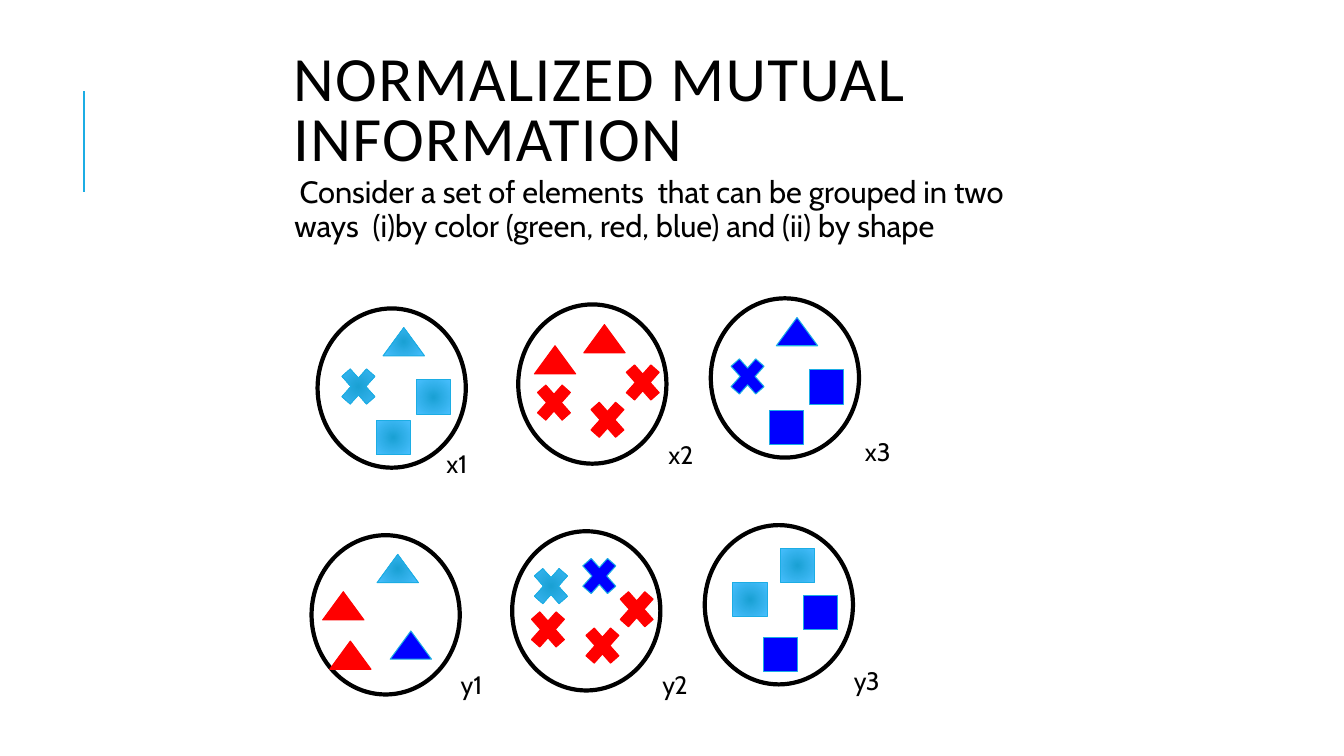
"""Build a slide showing one set of elements grouped by color and by shape."""
import lxml.etree
import pptx
import pptx.dml.color
import pptx.enum.shapes
import pptx.enum.text
import pptx.oxml.ns
import pptx.util

TITLE = "NORMALIZED MUTUAL INFORMATION"
BODY = ("Consider a set of elements  that can be grouped in two ways  "
        "(i)by color (green, red, blue) and (ii) by shape")
ORIGINS = [(3.15, 3.06), (5.14, 3.02), (7.05, 2.96)]
SHIFT = (-0.06, 2.25)
ROWS = [
    [("x1", (4.33, 4.4, 0.46, 0.71),
      [("triangle", "teal", 0.65, 0.19), ("square", "teal", 0.98, 0.71),
       ("square", "teal", 0.58, 1.11), ("cross", "teal", 0.17, 0.51)]),
     ("x2", (6.53, 4.31, 0.46, 0.71),
      [("triangle", "red", 0.65, 0.2), ("triangle", "red", 0.16, 0.41),
       ("cross", "red", 0.12, 0.71), ("cross", "red", 0.65, 0.88),
       ("cross", "red", 1.0, 0.51)]),
     ("x3", (8.48, 4.28, 0.46, 0.71),
      [("triangle", "blue", 0.65, 0.19), ("square", "blue", 0.98, 0.71),
       ("square", "blue", 0.58, 1.11), ("cross", "blue", 0.13, 0.51)])],
    [("y1", (4.47, 6.59, 0.66, 0.4),
      [("triangle", "teal", 0.65, 0.19), ("triangle", "red", 0.11, 0.56),
       ("triangle", "blue", 0.78, 0.95), ("triangle", "red", 0.18, 1.05)]),
     ("y2", (6.47, 6.59, 0.71, 0.4),
      [("cross", "teal", 0.15, 0.28), ("cross", "red", 0.12, 0.71),
       ("cross", "red", 0.66, 0.87), ("cross", "red", 1.0, 0.51),
       ("cross", "blue", 0.63, 0.18)]),
     ("y3", (8.37, 6.55, 0.71, 0.4),
      [("square", "teal", 0.75, 0.23), ("square", "teal", 0.28, 0.57),
       ("square", "blue", 0.98, 0.7), ("square", "blue", 0.58, 1.11)])],
]
COLORS = {"black": "000000", "teal": "1CADE4", "red": "FF0000",
          "blue": "0000FF", "deep": "1AA1D4", "light": "48BFFF"}
EDGES = {"teal": "teal", "red": "red", "blue": "teal"}
KINDS = pptx.enum.shapes.MSO_SHAPE
FORMS = {"ring": (KINDS.OVAL, 1.47, 1.58),
         "triangle": (KINDS.ISOSCELES_TRIANGLE, 0.41, 0.28),
         "square": (KINDS.RECTANGLE, 0.34, 0.34),
         "cross": (KINDS.MATH_MULTIPLY, 0.47, 0.53)}
Inches = pptx.util.Inches
Pt = pptx.util.Pt
qn = pptx.oxml.ns.qn


def rgb(name):
    return pptx.dml.color.RGBColor.from_string(COLORS[name])


def apply(target, values):
    for key, value in values.items():
        setattr(target, key, value)


def add_text(slide, text, box, font, size, frame=None, para=None, bullet=False):
    shape = slide.shapes.add_textbox(*map(Inches, box))
    apply(shape.text_frame, {"word_wrap": True, **(frame or {})})
    line = shape.text_frame.paragraphs[0]
    if bullet:
        props = line._p.get_or_add_pPr()
        apply_xml = {"marL": Inches(0.1), "indent": Inches(-0.1)}
        for key, value in apply_xml.items():
            props.set(key, str(int(value)))
        lxml.etree.SubElement(props, qn("a:buChar")).set("char", " ")
    apply(line, para or {})
    run = line.add_run()
    run.text = text
    apply(run.font, {"name": font, "size": Pt(size)})
    run.font.color.rgb = rgb("black")
    return run


def add_form(group, kind, left, top, edge, weight):
    preset, width, height = FORMS[kind]
    shape = group.shapes.add_shape(
        preset, *map(Inches, (left, top, width, height)))
    shape.shadow.inherit = False
    shape.line.color.rgb = rgb(edge)
    shape.line.width = Pt(weight)
    return shape


def shade(shape):
    shape.fill.gradient()
    for stop, name in zip(shape.fill.gradient_stops, ("deep", "light")):
        stop.color.rgb = rgb(name)
    grad = shape._element.spPr.find(qn("a:gradFill"))
    grad.remove(grad.find(qn("a:lin")))
    radial = lxml.etree.SubElement(grad, qn("a:path"))
    radial.set("path", "circle")
    focus = lxml.etree.SubElement(radial, qn("a:fillToRect"))
    for side in "ltrb":
        focus.set(side, "100000")


def add_mark(group, kind, tone, left, top):
    mark = add_form(group, kind, left, top, EDGES[tone], 0.75)
    if tone == "teal":
        shade(mark)
    else:
        mark.fill.solid()
        mark.fill.fore_color.rgb = rgb(tone)


def main():
    deck = pptx.Presentation()
    apply(deck, {"slide_width": Inches(13.33), "slide_height": Inches(7.5)})
    slide = deck.slides.add_slide(deck.slide_layouts[6])

    accent = slide.shapes.add_connector(
        pptx.enum.shapes.MSO_CONNECTOR.STRAIGHT,
        *map(Inches, (0.83, 1.9, 0.83, 0.9)))
    accent.line.color.rgb = rgb("teal")
    accent.line.width = Pt(1.5)
    lxml.etree.SubElement(accent._element.spPr, qn("a:effectLst"))

    title = add_text(
        slide, TITLE, (2.81, 0.5, 7.68, 1.25), "Calibri", 45,
        {"vertical_anchor": pptx.enum.text.MSO_ANCHOR.MIDDLE},
        {"line_spacing": 0.8})
    title._r.get_or_add_rPr().set("spc", "100")
    sides = ("left", "top", "right", "bottom")
    add_text(slide, BODY, (2.77, 1.71, 7.41, 3.84), "Cabin", 22,
             {"margin_" + side: Inches(0.05) for side in sides},
             {"line_spacing": 0.9, "space_after": Pt(2)}, True)

    for row, sets in enumerate(ROWS):
        group = slide.shapes.add_group_shape()
        for (left, top), (label, box, marks) in zip(ORIGINS, sets):
            left += row * SHIFT[0]
            top += row * SHIFT[1]
            ring = add_form(group, "ring", left, top, "black", 3)
            ring.fill.background()
            for kind, tone, across, down in marks:
                add_mark(group, kind, tone, left + across, top + down)
            add_text(slide, label, box, "Cabin", 18)

    deck.save("out.pptx")


if __name__ == "__main__":
    main()
